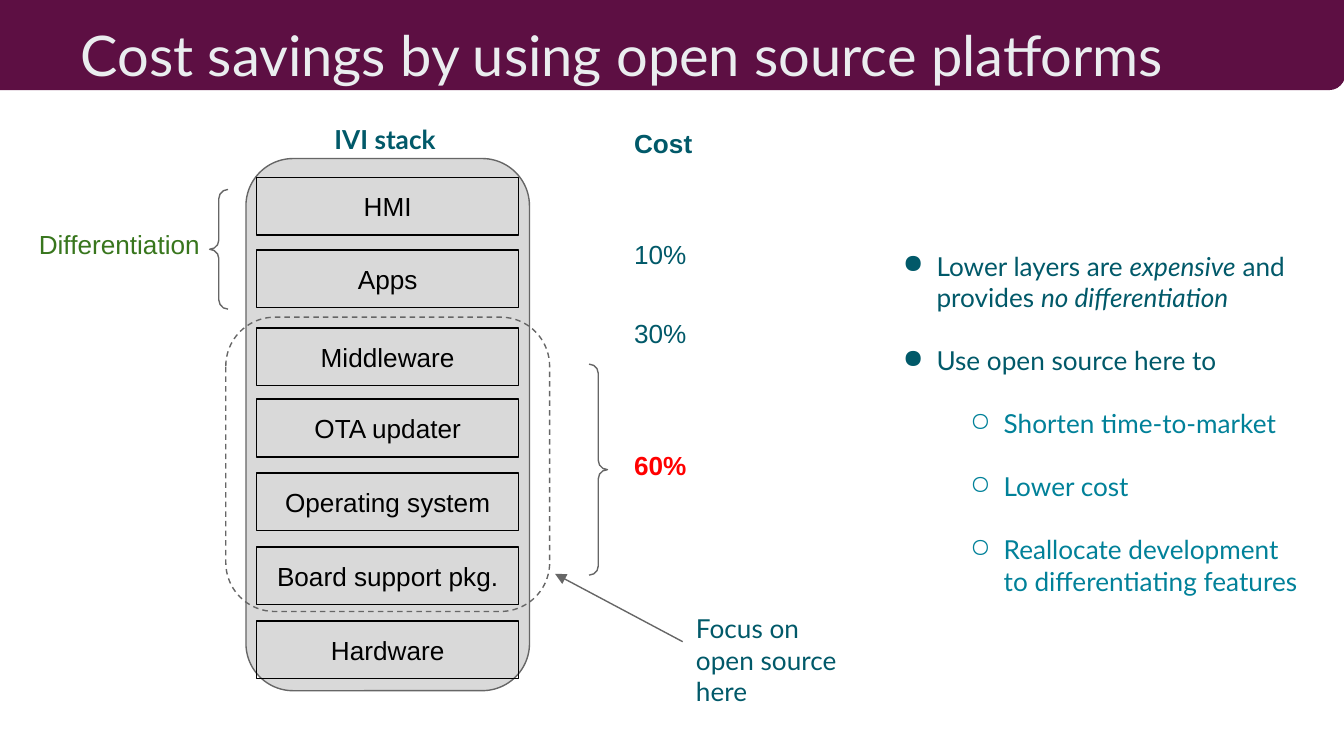
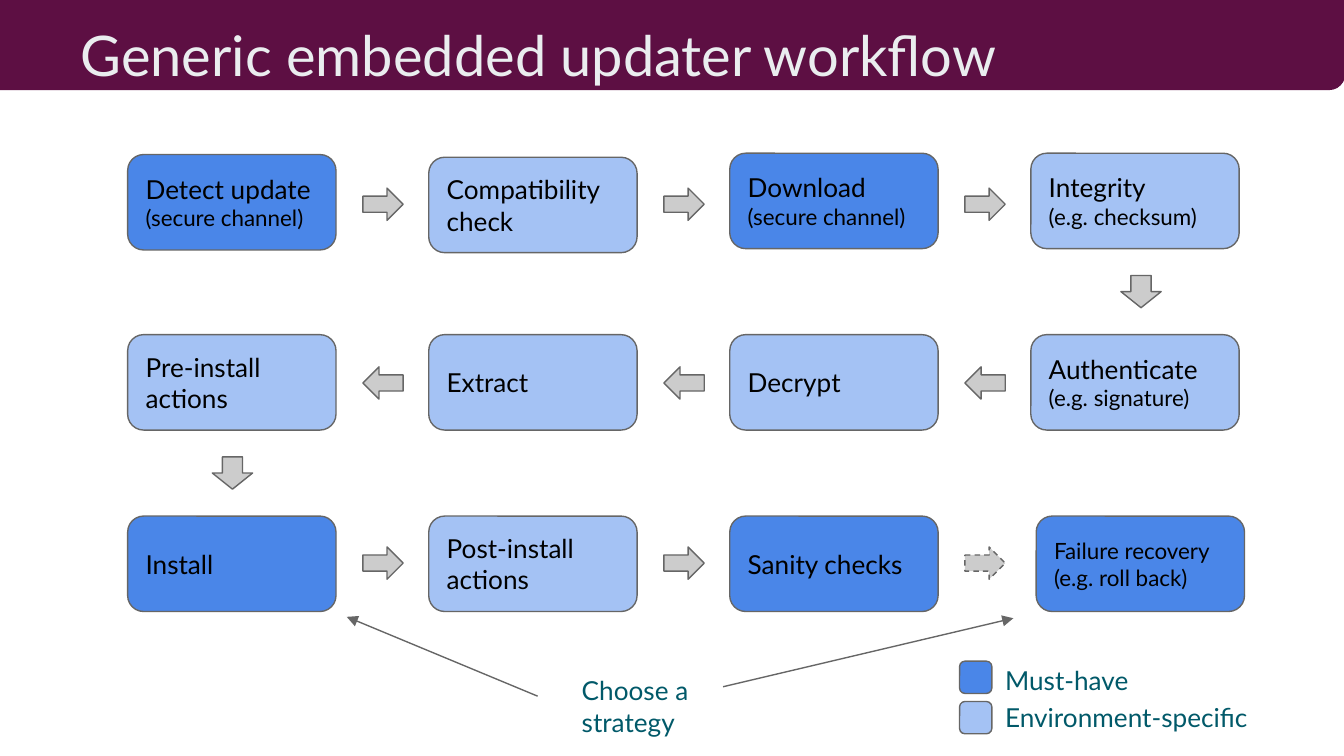
from dataclasses import dataclass

from lxml import etree
from pptx import Presentation
from pptx import util as u
from pptx.dml.color import RGBColor
from pptx.enum import dml, shapes, text
from pptx.oxml.ns import qn

PX = 9144
SHAPE = shapes.MSO_SHAPE


@dataclass(frozen=True)
class Theme:
    """Colours, fonts and type sizes of the deck."""
    band: str = "5D0F43"
    title: str = "EAEDEF"
    teal: str = "015969"
    light_teal: str = "018199"
    green: str = "38761D"
    red: str = "FF0000"
    black: str = "000000"
    line: str = "666666"
    stack: str = "D9D9D9"
    arrow: str = "CCCCCC"
    must: str = "4A86E8"
    optional: str = "A4C2F4"
    lato: str = "Lato"
    arial: str = "Arial"
    title_size: int = 30
    body_size: int = 14
    note_size: int = 12
    bullet_gap: int = 17
    thin: float = 0.75


class Deck:
    """Draws styled elements on the current slide."""

    def __init__(self, theme):
        self.t = theme
        self.prs = Presentation()
        self.prs.slide_width = 1000 * PX
        self.prs.slide_height = self.prs.slide_width * 9 // 16
        self.s = None

    def slide(self, heading):
        """Start a slide with the title band and its title."""
        self.s = self.prs.slides.add_slide(self.prs.slide_layouts[5])
        band = self.shape(SHAPE.ROUND_1_RECTANGLE, (0, 0, 1000, 66),
                          self.t.band, self.t.band, 1.5)
        band.rotation = 180
        band.element.spPr.find(qn("a:xfrm")).set("flipH", "1")
        title = self.s.shapes.title
        title.element.addprevious(band.element)
        title.left, title.top, title.width, title.height = (
            v * PX for v in (50, -19, 900, 94))
        tf = self.frame(title, text.MSO_ANCHOR.BOTTOM)
        tf.auto_size = text.MSO_AUTO_SIZE.NONE
        p = tf.paragraphs[0]
        p.alignment = text.PP_ALIGN.LEFT
        self.run(p, heading, self.t.title, self.t.title_size)

    def frame(self, sp, anchor=text.MSO_ANCHOR.TOP):
        """Set wrapping, margins and anchor of a text frame."""
        tf = sp.text_frame
        tf.word_wrap = True
        tf.vertical_anchor = anchor
        tf.margin_left = tf.margin_top = 10 * PX
        tf.margin_right = tf.margin_bottom = 10 * PX
        return tf

    def run(self, p, words, color, size=None, font=None, bold=False, italic=False):
        """Append one formatted run to a paragraph."""
        r = p.add_run()
        r.text = words
        f = r.font
        f.name = font or self.t.lato
        f.size = u.Pt(size or self.t.body_size)
        f.bold, f.italic = bold, italic
        f.color.rgb = RGBColor.from_string(color)

    def shape(self, kind, box, fill=None, line=None, width=None, adj=None, dashed=False):
        """Add a preset shape without shadow."""
        sp = self.s.shapes.add_shape(kind, *(v * PX for v in box))
        sp.shadow.inherit = False
        if fill:
            sp.fill.solid()
            sp.fill.fore_color.rgb = RGBColor.from_string(fill)
        else:
            sp.fill.background()
        sp.line.color.rgb = RGBColor.from_string(line or self.t.line)
        sp.line.width = u.Pt(width or self.t.thin)
        if dashed:
            sp.line.dash_style = dml.MSO_LINE.DASH
        if adj:
            sp.adjustments[0] = adj
        return sp

    def label(self, box, words, color=None, font=None, bold=False):
        """Add a one-paragraph text box."""
        sp = self.s.shapes.add_textbox(*(v * PX for v in box))
        p = self.frame(sp).paragraphs[0]
        self.run(p, words, color or self.t.teal, font=font, bold=bold)
        return sp

    def layer(self, top, words):
        """Add one layer of the stack."""
        sp = self.shape(SHAPE.RECTANGLE, (191, top, 195, 43), line=self.t.black)
        p = self.frame(sp).paragraphs[0]
        p.alignment = text.PP_ALIGN.CENTER
        self.run(p, words, self.t.black, font=self.t.arial)

    def step(self, x, y, fill, lines):
        """Add one workflow step with a paragraph per line."""
        sp = self.shape(SHAPE.ROUNDED_RECTANGLE, (x, y, 155, 71), fill)
        tf = self.frame(sp, text.MSO_ANCHOR.MIDDLE)
        for i, (words, size) in enumerate(lines):
            p = tf.add_paragraph() if i else tf.paragraphs[0]
            p.alignment = text.PP_ALIGN.LEFT
            self.run(p, words, self.t.black, size)

    def block_arrow(self, kind, x, y, dashed=False):
        """Add a small grey block arrow."""
        self.shape(kind, (x, y, 30, 24), self.t.arrow, dashed=dashed)

    def pointer(self, start, end, source=None):
        """Add a line with an arrowhead at its end."""
        c = self.s.shapes.add_connector(
            shapes.MSO_CONNECTOR.STRAIGHT, *(v * PX for v in start + end))
        if source is not None:
            c.begin_connect(source, 1)
        c.line.color.rgb = RGBColor.from_string(self.t.line)
        c.line.width = u.Pt(self.t.thin)
        etree.SubElement(c.line._get_or_add_ln(), qn("a:tailEnd"), type="triangle")
        etree.SubElement(c.element.spPr, qn("a:effectLst"))

    def bullets(self, box, items):
        """Add a two-level bullet list of (level, runs) items."""
        sp = self.s.shapes.add_textbox(*(v * PX for v in box))
        tf = self.frame(sp)
        for i, (level, runs) in enumerate(items):
            p = tf.add_paragraph() if i else tf.paragraphs[0]
            color = (self.t.teal, self.t.light_teal)[level]
            p.level = level
            pPr = p._p.get_or_add_pPr()
            pPr.set("marL", str(50 * (level + 1) * PX))
            pPr.set("indent", str(-25 * PX))
            clr = etree.SubElement(pPr, qn("a:buClr"))
            etree.SubElement(clr, qn("a:srgbClr"), val=color)
            etree.SubElement(pPr, qn("a:buChar"), char="●○"[level])
            if i:
                p.space_before = u.Pt(self.t.bullet_gap)
            for words, italic in runs:
                self.run(p, words, color, italic=italic)


def cost_slide(d):
    """Build the slide on the cost of each layer."""
    t = d.t
    d.slide("Cost savings by using open source platforms")
    for box in ((156, 141, 82, 89), (370, 271, 82, 157)):
        d.shape(SHAPE.DOUBLE_BRACE, box)
    d.shape(SHAPE.ROUNDED_RECTANGLE, (183, 118, 211, 396), t.stack)
    d.label((239, 82, 99, 36), "IVI stack", bold=True)
    for top, words in ((132, "HMI"), (186, "Apps"), (244, "Middleware"),
                       (297, "OTA updater"), (352, "Operating system"),
                       (407, "Board support pkg."), (462, "Hardware")):
        d.layer(top, words)
    for top, words, color, bold in ((85, "Cost", t.teal, True),
                                    (167, "10%", t.teal, False),
                                    (226, "30%", t.teal, False),
                                    (324, "60%", t.red, True)):
        d.label((462, top, 70, 51), words, color, t.arial, bold)
    d.label((19, 160, 148, 51), "Differentiation", t.green, t.arial)
    focus = d.label((508, 446, 129, 63), "Focus on open source here")
    d.pointer((508, 478), (413, 427), focus)
    d.bullets((637, 176, 344, 282), (
        (0, (("Lower layers are ", False), ("expensive", True),
             (" and provides ", False), ("no differentiation", True))),
        (0, (("Use open source here to", False),)),
        (1, (("Shorten time-to-market", False),)),
        (1, (("Lower cost", False),)),
        (1, (("Reallocate development to differentiating features", False),)),
    ))
    d.shape(SHAPE.ROUNDED_RECTANGLE, (168, 236, 241, 219), dashed=True)


def workflow_slide(d):
    """Build the slide on the steps of an updater."""
    t = d.t
    big, small = t.body_size, t.note_size
    d.slide("Generic embedded updater workflow")
    grid = (
        ((t.must, ("Detect update", big), ("(secure channel)", small)),
         (t.optional, ("Compatibility check", big)),
         (t.must, ("Download", big), ("(secure channel)", small)),
         (t.optional, ("Integrity", big), ("(e.g. checksum)", small))),
        ((t.optional, ("Pre-install actions", big)),
         (t.optional, ("Extract", big)),
         (t.optional, ("Decrypt", big)),
         (t.optional, ("Authenticate", big), ("(e.g. signature)", small))),
        ((t.must, ("Install", big)),
         (t.optional, ("Post-install actions", big)),
         (t.must, ("Sanity checks", big)),
         (t.must, ("Failure recovery", small), ("(e.g. roll back)", small))),
    )
    nudges = {(0, 0): (0, 1), (0, 1): (0, 3), (2, 3): (4, 0)}
    for row, cells in enumerate(grid):
        for col, (fill, *lines) in enumerate(cells):
            dx, dy = nudges.get((row, col), (0, 0))
            d.step(95 + 224 * col + dx, 114 + 135 * row + dy, fill, lines)
    flows = ((SHAPE.RIGHT_ARROW, 140), (SHAPE.LEFT_ARROW, 273), (SHAPE.RIGHT_ARROW, 407))
    for row, (kind, y) in enumerate(flows):
        for col in range(3):
            d.block_arrow(kind, 270 + 224 * col, y, dashed=(row, col) == (2, 2))
    for x, y in ((834, 205), (158, 340)):
        d.block_arrow(SHAPE.DOWN_ARROW, x, y)
    for y, fill, box, words in (
            (492, t.must, (738, 484, 127, 38), "Must-have"),
            (522, t.optional, (738, 512, 212, 38), "Environment-specific")):
        d.shape(SHAPE.ROUNDED_RECTANGLE, (714, y, 24, 24), fill)
        d.label(box, words)
    d.label((423, 492, 115, 60), "Choose a strategy")
    d.pointer((400, 518), (258, 459))
    d.pointer((538, 511), (754, 460))


def main():
    """Build and save the deck."""
    d = Deck(Theme())
    cost_slide(d)
    workflow_slide(d)
    d.prs.save("out.pptx")


if __name__ == "__main__":
    main()
